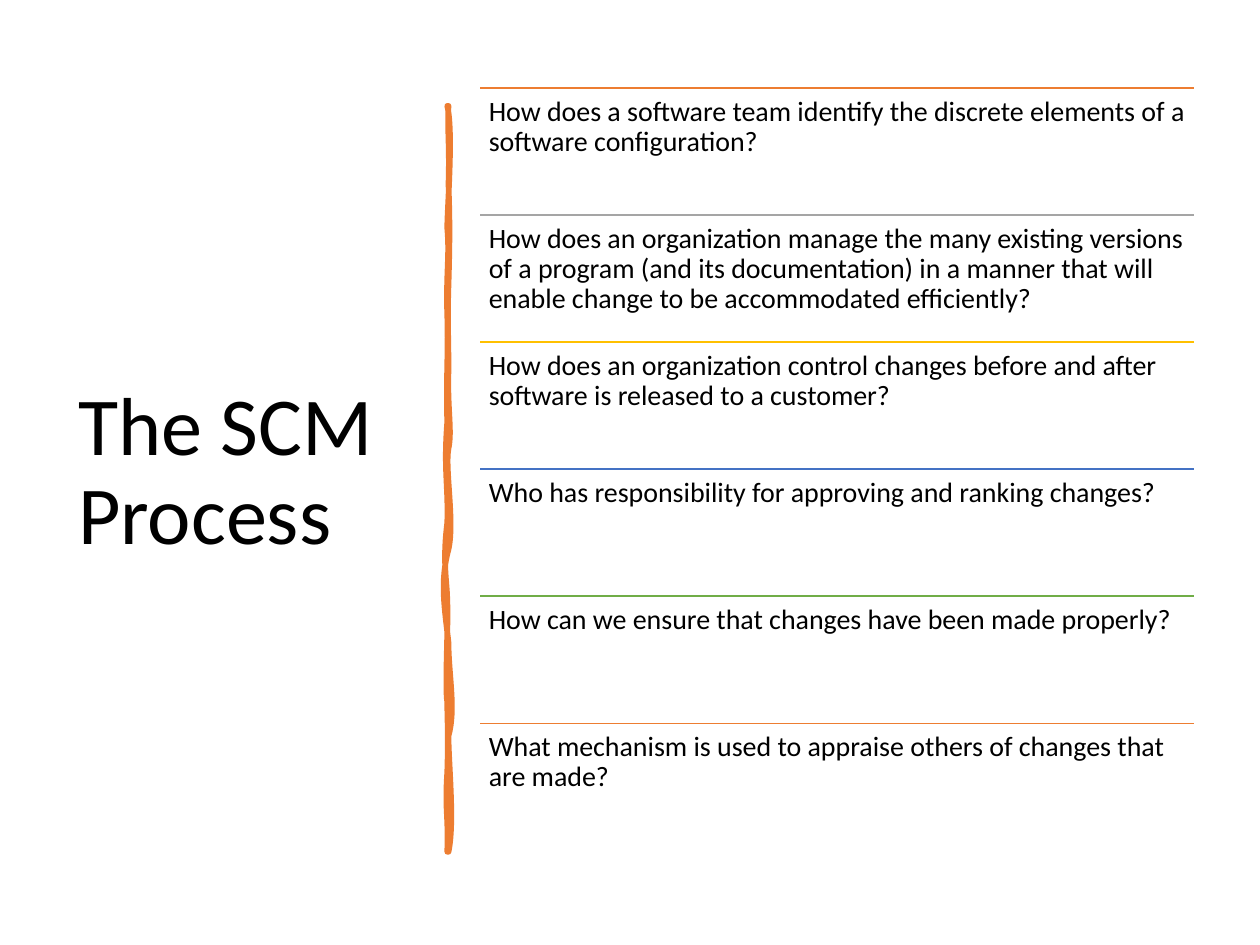
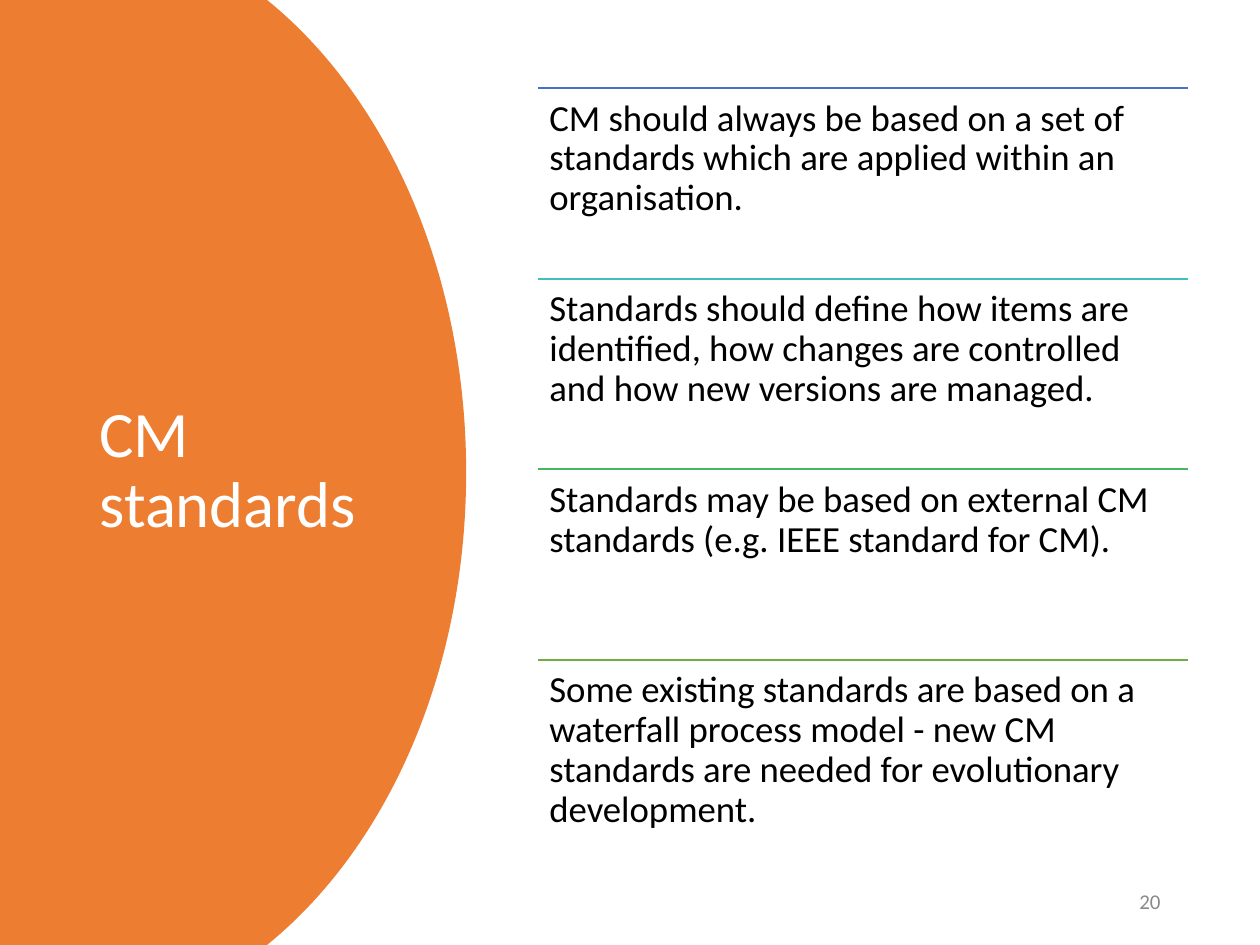
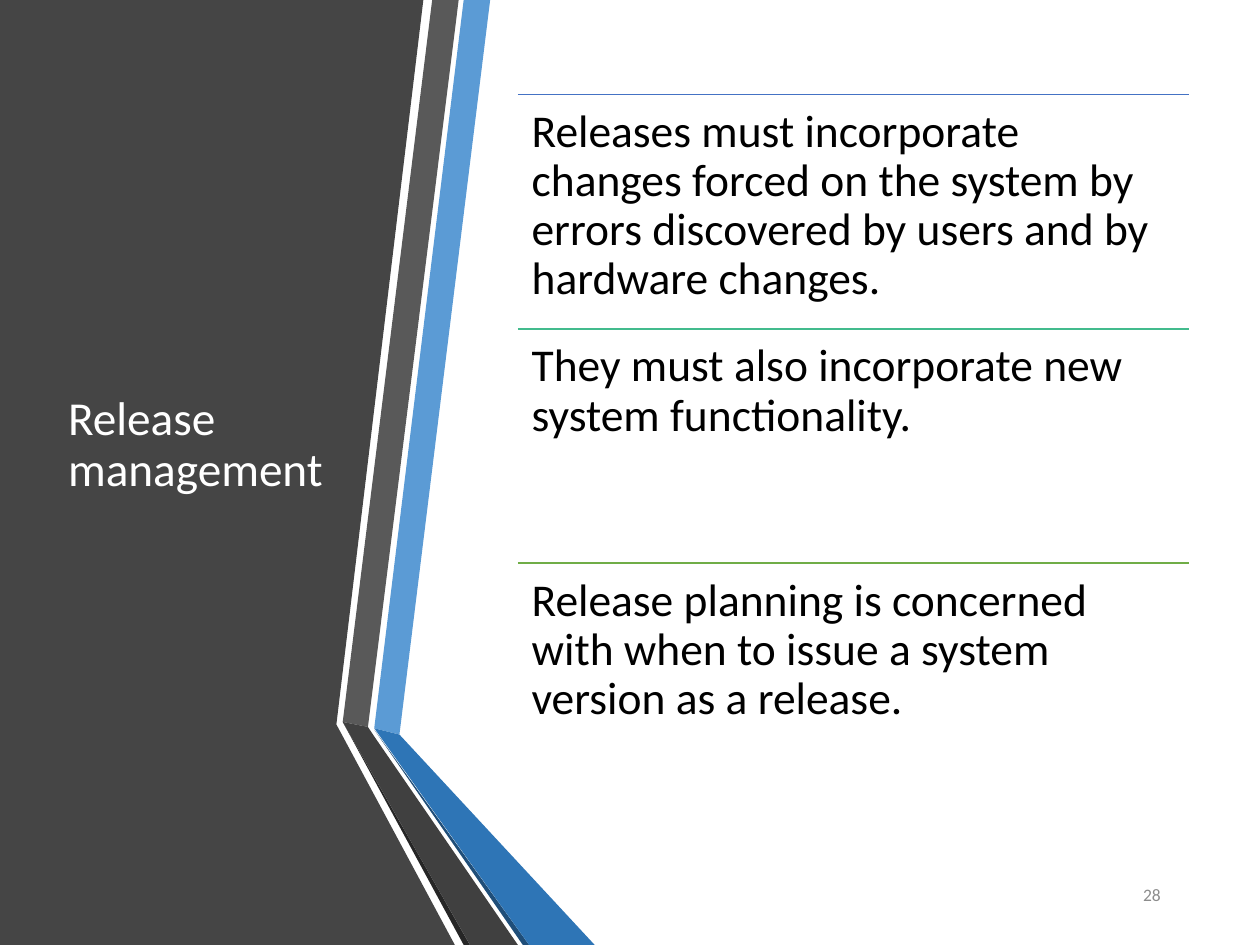
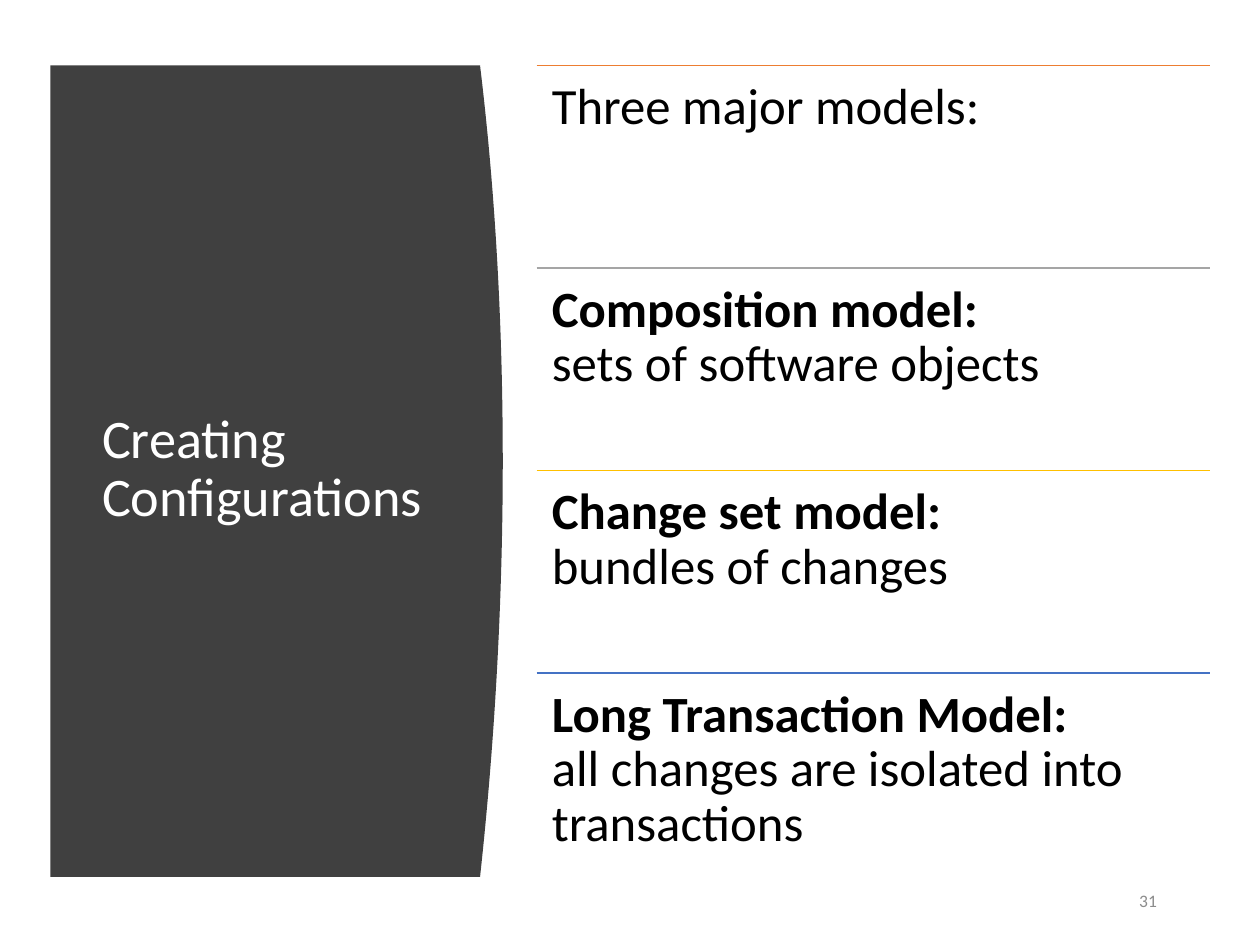
from lxml.etree import SubElement
from pptx import Presentation
from pptx.dml.color import RGBColor
from pptx.enum.shapes import MSO_CONNECTOR
from pptx.enum.text import MSO_ANCHOR, MSO_AUTO_SIZE, PP_ALIGN
from pptx.oxml.ns import qn
from pptx.util import Inches, Pt

FONT = "Calibri"
TITLE_ONLY = 5
COLORS = {
    "black": "000000",
    "white": "FFFFFF",
    "orange": "ED7D31",
    "gray": "A5A5A5",
    "gold": "FFC000",
    "blue": "4472C4",
    "green": "70AD47",
    "teal": "43BEB9",
    "mint": "45B664",
    "sea": "43BB8D",
    "sky": "5B9BD5",
    "ocean": "2E75B6",
    "navy": "1F4E79",
    "slate": "454545",
    "charcoal": "404040",
    "graphite": "595959",
    "ink": "262626",
    "page": "898989",
    "pale page": "8C8C8C",
}


class Deck:
    """Holds the shared style and the slide being built."""

    def __init__(self):
        """Open an empty 4:3 presentation."""
        self.presentation = Presentation()
        self.presentation.slide_width = Inches(10)
        self.presentation.slide_height = Inches(7.5)
        self.slide = None

    def color(self, name):
        """Look up a named colour."""
        return RGBColor.from_string(COLORS[name])

    def add_slide(self):
        """Start a title-only slide."""
        layout = self.presentation.slide_layouts[TITLE_ONLY]
        self.slide = self.presentation.slides.add_slide(layout)

    def add_group(self):
        """Add an empty group and return its shapes."""
        return self.slide.shapes.add_group_shape().shapes

    def add_run(self, paragraph, text, size, color, bold=False):
        """Add one formatted run."""
        run = paragraph.add_run()
        run.text = text
        run.font.name = FONT
        run.font.size = Pt(size)
        run.font.bold = bold
        run.font.color.rgb = self.color(color)

    def prepare_frame(self, shape, anchor, alignment=PP_ALIGN.LEFT):
        """Set wrapping, anchor and alignment, and return the first paragraph."""
        frame = shape.text_frame
        frame.word_wrap = True
        frame.auto_size = MSO_AUTO_SIZE.NONE
        frame.vertical_anchor = anchor
        paragraph = frame.paragraphs[0]
        paragraph.alignment = alignment
        return paragraph

    def add_title(self, text, left, top, width, height, size, color="white"):
        """Place the title in front of the artwork."""
        title = self.slide.shapes.title
        title.left, title.top = Inches(left), Inches(top)
        title.width, title.height = Inches(width), Inches(height)
        paragraph = self.prepare_frame(title, MSO_ANCHOR.MIDDLE)
        paragraph.line_spacing = 0.9
        self.add_run(paragraph, text, size, color)
        title._element.getparent().append(title._element)

    def add_outline(self, shapes, fill, start, *segments, line_width=None):
        """Draw a closed outline from line (x, y) and cubic (six number) segments."""
        builder = shapes.build_freeform(Inches(start[0]), Inches(start[1]), scale=1.0)
        for segment in segments:
            pairs = zip(segment[::2], segment[1::2])
            builder.add_line_segments([(Inches(x), Inches(y)) for x, y in pairs], close=False)
        builder.add_line_segments([], close=True)
        shape = builder.convert_to_shape()
        self.bend_segments(shape, segments)
        shape.shadow.inherit = False
        shape.fill.solid()
        shape.fill.fore_color.rgb = self.color(fill)
        if line_width:
            shape.line.width = Pt(line_width)
            shape.line.color.rgb = self.color(fill)
        else:
            shape.line.fill.background()

    def bend_segments(self, shape, segments):
        """Join the three points of each cubic segment into one curve."""
        nodes = iter(list(shape._element.iter(qn("a:lnTo"))))
        for segment in segments:
            first, *others = [next(nodes) for _ in segment[::2]]
            if others:
                first.tag = qn("a:cubicBezTo")
            for node in others:
                first.append(node[0])
                node.getparent().remove(node)

    def add_rule(self, shapes, left, top, width, color):
        """Draw a thin horizontal rule."""
        rule = shapes.add_connector(
            MSO_CONNECTOR.STRAIGHT, Inches(left), Inches(top), Inches(left + width), Inches(top)
        )
        rule.line.width = Pt(1)
        rule.line.color.rgb = self.color(color)
        SubElement(rule._element.spPr, qn("a:effectLst"))

    def add_ruled_list(self, left, top, width, height, size, inset, rows):
        """Stack equal rows of (rule colour, text, optional bold heading)."""
        shapes = self.add_group()
        pitch = height / len(rows)
        for index, (color, text, *heading) in enumerate(rows):
            row_top = top + index * pitch
            self.add_rule(shapes, left, row_top, width, color)
            box = shapes.add_textbox(
                Inches(left), Inches(row_top), Inches(width), Inches(pitch)
            )
            paragraph = self.prepare_frame(box, MSO_ANCHOR.TOP)
            frame = box.text_frame
            frame.margin_left = frame.margin_right = Inches(inset)
            frame.margin_top = frame.margin_bottom = Inches(inset)
            paragraph.line_spacing = 0.9
            for words in heading:
                self.add_run(paragraph, words, size, "black", bold=True)
                paragraph.add_line_break()
            self.add_run(paragraph, text, size, "black")

    def add_page_number(self, number, left, top, width, size, color="pale page"):
        """Write the page number at the lower right."""
        box = self.slide.shapes.add_textbox(
            Inches(left), Inches(top), Inches(width), Inches(0.4)
        )
        paragraph = self.prepare_frame(box, MSO_ANCHOR.MIDDLE, PP_ALIGN.RIGHT)
        self.add_run(paragraph, number, size, color)


def add_process_slide(deck):
    """Build the SCM process questions beside a brush stroke."""
    deck.add_slide()
    deck.add_title("The SCM Process", 0.52, 0.7, 2.8, 6.11, 47, "black")
    deck.add_outline(
        deck.slide.shapes,
        "orange",
        (3.56, 0.84),
        (3.55, 1.03, 3.57, 1.16, 3.56, 1.46),
        (3.57, 1.74, 3.57, 1.91, 3.56, 2.26),
        (3.55, 2.58, 3.56, 2.62, 3.56, 2.94),
        (3.55, 3.25, 3.59, 3.42, 3.56, 3.56),
        (3.53, 3.72, 3.61, 4.14, 3.56, 4.36),
        (3.49, 4.62, 3.53, 4.83, 3.56, 5.1),
        (3.56, 5.35, 3.62, 5.63, 3.56, 5.84),
        (3.56, 6.06, 3.61, 6.53, 3.56, 6.76),
        (3.55, 6.76),
        (3.56, 6.45, 3.53, 6.44, 3.55, 6.13),
        (3.56, 5.83, 3.55, 5.7, 3.55, 5.57),
        (3.53, 5.46, 3.56, 4.94, 3.55, 4.77),
        (3.55, 4.62, 3.51, 4.47, 3.55, 4.15),
        (3.56, 3.86, 3.52, 3.73, 3.55, 3.35),
        (3.54, 3, 3.56, 2.79, 3.55, 2.5),
        (3.54, 2.16, 3.57, 2.03, 3.55, 1.81),
        (3.55, 1.65, 3.6, 1.04, 3.55, 0.84),
        line_width=3.25,
    )
    deck.add_ruled_list(3.81, 0.7, 5.67, 6.05, 16, 0.07, [
        ("orange", "How does a software team identify the discrete elements of a "
                   "software configuration?"),
        ("gray", "How does an organization manage the many existing versions of a program "
                 "(and its documentation) in a manner that will enable change to be "
                 "accommodated efficiently?"),
        ("gold", "How does an organization control changes before and after software is "
                 "released to a customer?"),
        ("blue", "Who has responsibility for approving and ranking changes?"),
        ("green", "How can we ensure that changes have been made properly?"),
        ("orange", "What mechanism is used to appraise others of changes that are made?"),
    ])


def add_standards_slide(deck):
    """Build the CM standards list beside a rounded panel."""
    deck.add_slide()
    deck.add_outline(
        deck.slide.shapes,
        "orange",
        (0, 0),
        (2.12, 0),
        (3.07, 0.77, 3.7, 2.16, 3.7, 3.75),
        (3.7, 5.34, 3.07, 6.73, 2.12, 7.5),
        (0, 7.5),
    )
    deck.add_title("CM standards", 0.69, 0.7, 2.42, 6.09, 37)
    deck.add_page_number("20", 7.06, 6.95, 2.25, 12, "page")
    deck.add_ruled_list(4.27, 0.7, 5.16, 6.05, 21, 0.09, [
        ("blue", "CM should always be based on a set of standards which are applied "
                 "within an organisation."),
        ("teal", "Standards should define how items are identified, how changes are "
                 "controlled and how new versions are managed."),
        ("mint", "Standards may be based on external CM standards (e.g. IEEE standard for CM)."),
        ("green", "Some existing standards are based on a waterfall process model - new CM "
                  "standards are needed for evolutionary development."),
    ])


def add_release_slide(deck):
    """Build the release management list beside folded ribbons."""
    deck.add_slide()
    deck.add_outline(
        deck.slide.shapes, "slate", (0, 0), (3.36, 0), (2.67, 5.75), (3.61, 7.5), (0, 7.5)
    )
    ribbons = [
        ("sky", (2.97, 5.78), (3.17, 5.83), (3.89, 0), (3.68, 0)),
        ("graphite", (3.64, 0), (3.43, 0), (2.72, 5.73), (2.92, 5.77)),
        ("ink", (2.72, 5.73), (3.68, 7.5), (3.73, 7.5)),
        ("navy", (2.97, 5.79), (4.15, 7.5), (4.2, 7.5)),
        ("ocean", (2.97, 5.78), (4.2, 7.5), (4.72, 7.5), (3.17, 5.83)),
        ("charcoal", (4.11, 7.5), (2.96, 5.83), (2.92, 5.77), (2.72, 5.73), (3.73, 7.5)),
    ]
    ribbon_shapes = deck.add_group()
    for ribbon in ribbons:
        deck.add_outline(ribbon_shapes, *ribbon)
    deck.add_title("Release management", 0.44, 0.75, 2.28, 5.58, 27)
    deck.add_page_number("28", 8.42, 6.9, 0.89, 10)
    deck.add_ruled_list(4.11, 0.75, 5.33, 5.58, 26, 0.11, [
        ("blue", "Releases must incorporate changes forced on the system by errors "
                 "discovered by users and by hardware changes."),
        ("sea", "They must also incorporate new system functionality."),
        ("green", "Release planning is concerned with when to issue a system version "
                  "as a release."),
    ])


def add_configurations_slide(deck):
    """Build the three configuration models beside a bowed panel."""
    deck.add_slide()
    deck.add_outline(
        deck.slide.shapes,
        "charcoal",
        (0.4, 0.52),
        (3.81, 0.52),
        (3.93, 1.51, 3.99, 2.57, 3.99, 3.66),
        (3.99, 4.74, 3.93, 5.86, 3.81, 6.96),
        (0.4, 6.96),
    )
    deck.add_title("Creating Configurations", 0.71, 1.11, 2.8, 5.24, 31)
    deck.add_page_number("31", 8.77, 6.95, 0.51, 10)
    deck.add_ruled_list(4.26, 0.52, 5.34, 6.43, 29, 0.12, [
        ("orange", "Three major models:"),
        ("gray", "sets of software objects", "Composition model:"),
        ("gold", "bundles of changes", "Change set model:"),
        ("blue", "all changes are isolated into transactions", "Long Transaction Model:"),
    ])


def main():
    """Build the slides and save the file."""
    deck = Deck()
    add_process_slide(deck)
    add_standards_slide(deck)
    add_release_slide(deck)
    add_configurations_slide(deck)
    deck.presentation.save("out.pptx")


if __name__ == "__main__":
    main()
